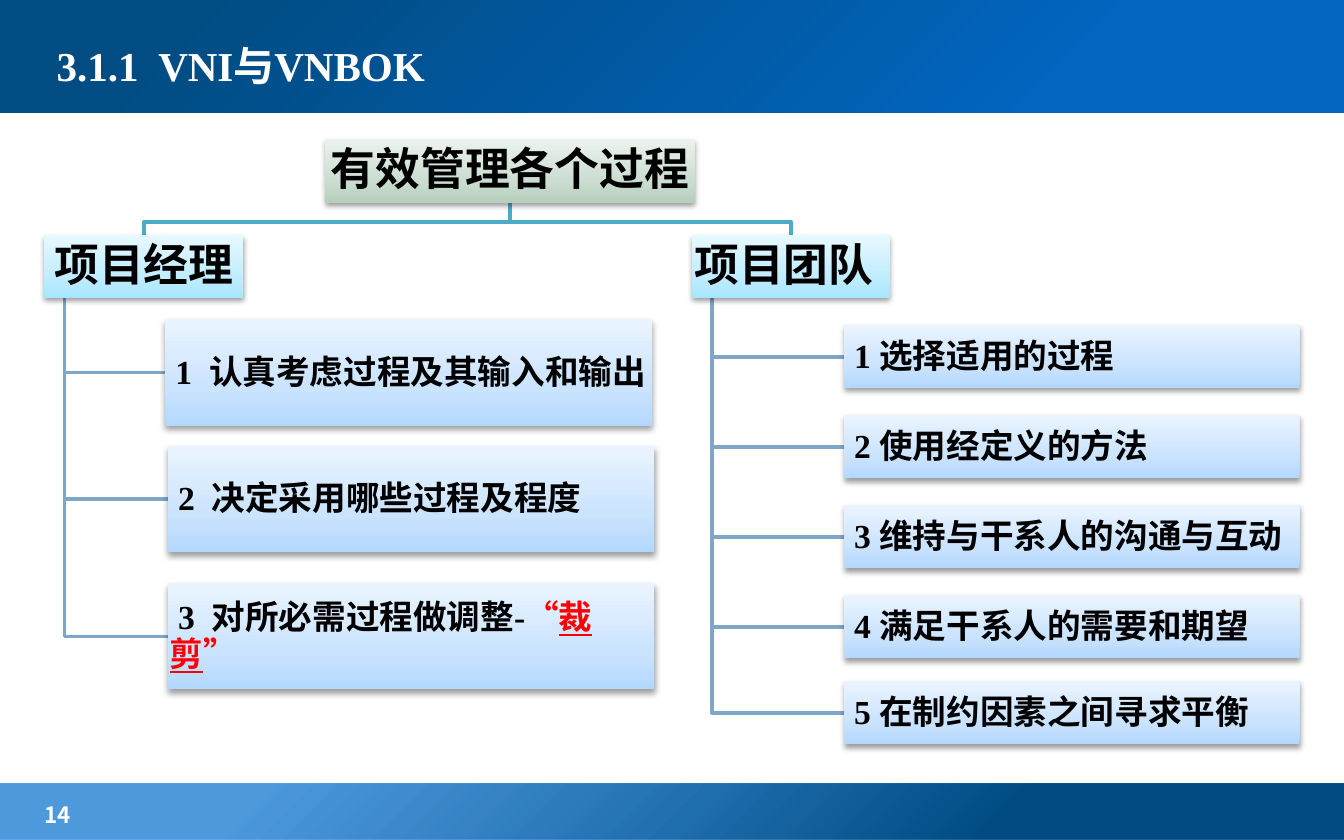
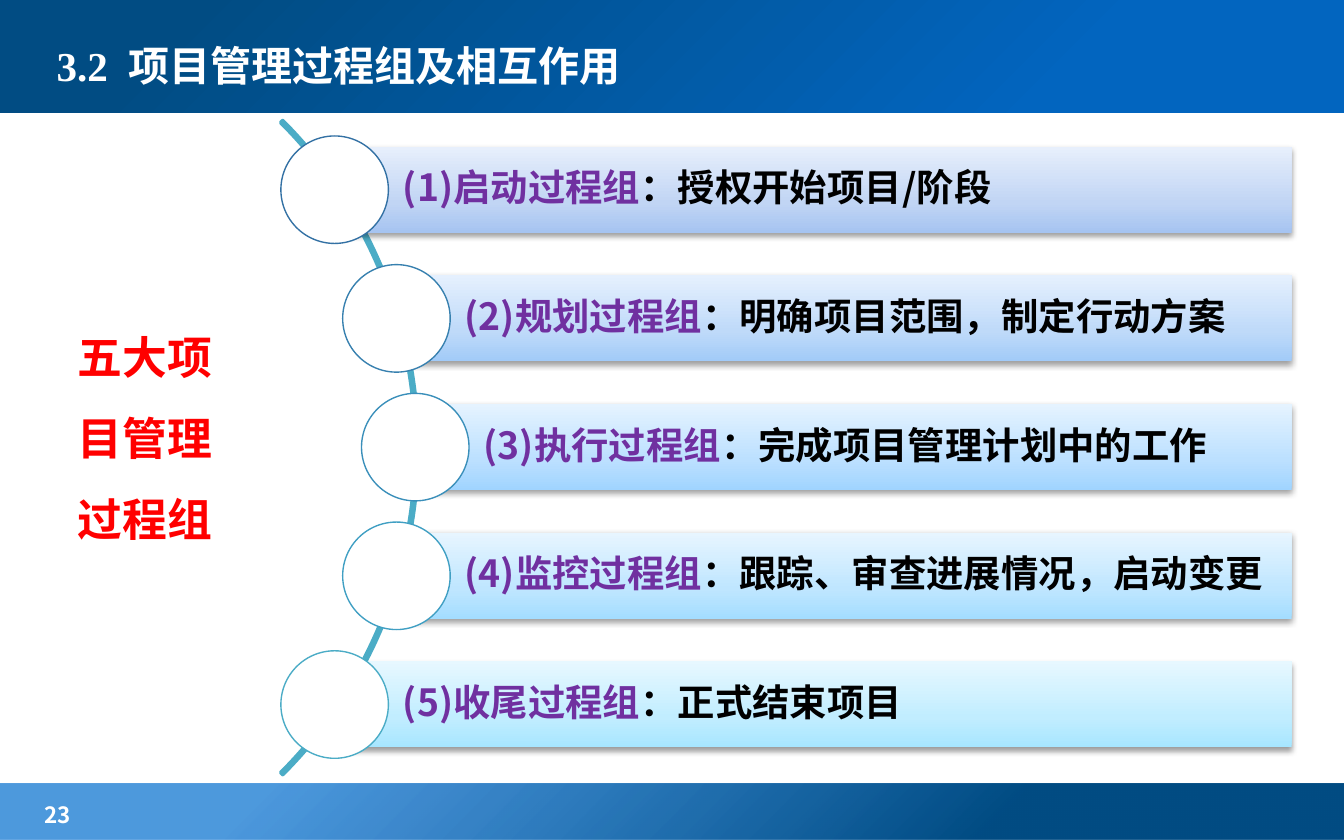
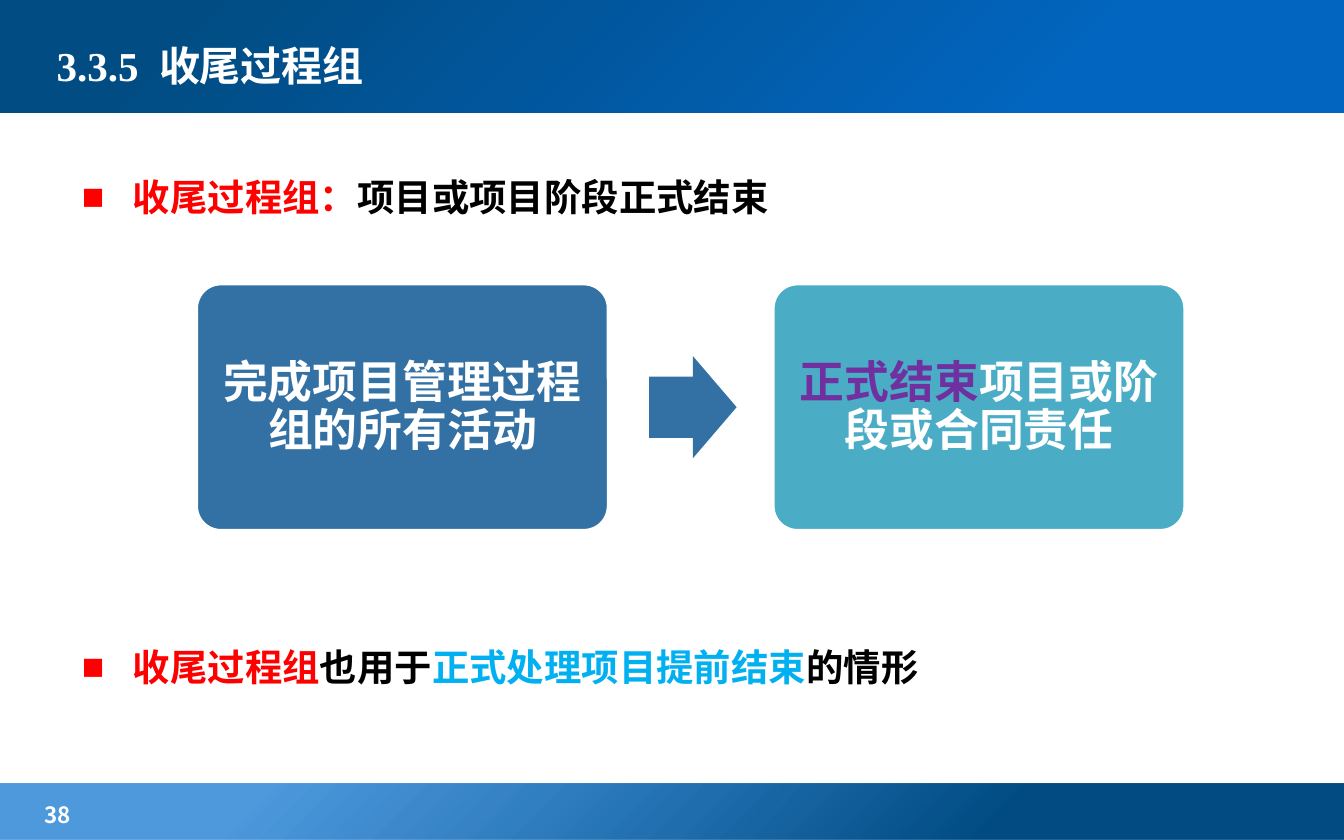
from lxml import etree
from pptx import Presentation
from pptx.dml.color import RGBColor
from pptx.enum.shapes import MSO_SHAPE as MSO
from pptx.enum.text import MSO_ANCHOR as ANCHOR, PP_ALIGN as ALIGN
from pptx.oxml import parse_xml
from pptx.oxml.ns import nsdecls, qn
from pptx.util import Pt

rgb = RGBColor.from_string

# Shared look
SANS, SERIF = "Noto Sans CJK SC", "Times New Roman"
WHITE, BLACK, RED, PURPLE, SKY = "FFFFFF", "000000", "FF0000", "7030A0", "00B0F0"
BLUE, TEAL, BRANCH = "3371A4", "4BACC6", "7FA6C7"
TOP_BAND = ((21, "0265BF", 100), (86, "014C83", 100))
BOTTOM_BAND = ((26, "014C83", 100), (80, "026DCE", 70))
UPWARD = '<a:lin ang="16200000" scaled="0"/>'
CORNER = '<a:path path="circle"><a:fillToRect l="100000" t="100000"/></a:path>'
GREEN_TINT = ((0, "B5CFBB", 100), (35, "CBDDD0", 100), (100, "EBF2ED", 100))
CYAN_TINT = ((0, "A7E6FF", 100), (35, "C1EDFF", 100), (100, "E7F8FF", 100))
CARD_TINT = ((0, "B3D8FE", 100), (35, "CAE3FE", 100), (100, "EAF4FF", 100))


def add_box(sl, kind, x, y, w, h, fill=None, line=None, weight=2, shade=UPWARD, shadow=False):
    """Add a shape; fill is a hex string, a tuple of gradient stops or None."""
    sp = sl.shapes.add_shape(kind, Pt(x), Pt(y), Pt(w), Pt(h))
    sp.shadow.inherit = False
    sp.fill.background()
    if isinstance(fill, str):
        sp.fill.solid()
        sp.fill.fore_color.rgb = rgb(fill)
    elif fill:
        stops = "".join(
            f'<a:gs pos="{pos * 1000}"><a:srgbClr val="{color}">'
            f'<a:alpha val="{alpha * 1000}"/></a:srgbClr></a:gs>'
            for pos, color, alpha in fill)
        spPr = sp._element.spPr
        spPr.replace(spPr.find(qn("a:noFill")), parse_xml(
            f'<a:gradFill {nsdecls("a")} rotWithShape="1">'
            f'<a:gsLst>{stops}</a:gsLst>{shade}</a:gradFill>'))
    if line:
        sp.line.color.rgb = rgb(line)
        sp.line.width = Pt(weight)
    else:
        sp.line.fill.background()
    if shadow:
        sp._element.spPr.find(qn("a:effectLst")).append(parse_xml(
            f'<a:outerShdw {nsdecls("a")} blurRad="40000" dist="20000" dir="5400000" '
            'rotWithShape="0"><a:srgbClr val="000000"><a:alpha val="38000"/></a:srgbClr>'
            '</a:outerShdw>'))
    return sp


def write(sp, paragraphs, size, font=SERIF, inset=(7.2, 3.6), spacing=0.9,
          align=ALIGN.LEFT, anchor=ANCHOR.MIDDLE):
    """Fill a shape with paragraphs, each a list of (text, colour) runs."""
    tf = sp.text_frame
    tf.word_wrap = True
    tf.vertical_anchor = anchor
    tf.margin_left, tf.margin_top = Pt(inset[0]), Pt(inset[1])
    tf.margin_right, tf.margin_bottom = Pt(min(inset[0], 7.2)), Pt(inset[1])
    for i, runs in enumerate(paragraphs):
        p = tf.add_paragraph() if i else tf.paragraphs[0]
        p.alignment = align
        p.line_spacing = spacing
        for text, color in runs:
            r = p.add_run()
            r.text = text
            r.font.size, r.font.bold = Pt(size), True
            r.font.color.rgb = rgb(color)
            r.font.name = font
            etree.SubElement(r._r.get_or_add_rPr(), qn("a:ea")).set("typeface", SANS)
    return tf


prs = Presentation()
prs.slide_width, prs.slide_height = Pt(720), Pt(450)

# Bands, page numbers and titles
slides = []
for number, title in ((14, "3.1.1  VNI与VNBOK"),
                      (23, "3.2  项目管理过程组及相互作用"),
                      (38, "3.3.5  收尾过程组")):
    sl = prs.slides.add_slide(prs.slide_layouts[6])
    add_box(sl, MSO.RECTANGLE, 0, 419.8, 720, 30.2, BOTTOM_BAND, shade=CORNER)
    add_box(sl, MSO.RECTANGLE, 0, -2.2, 720, 62.6, TOP_BAND, shade=CORNER)
    page = sl.shapes.add_textbox(Pt(14.2), Pt(427), Pt(113), Pt(18.7))
    write(page, [[(f" {number}", WHITE)]], 12, SANS, spacing=1.0)
    heading = sl.shapes.add_textbox(Pt(23.2), Pt(9.4), Pt(459.4), Pt(51.1))
    write(heading, [[(title, WHITE)]], 22, spacing=1.0)
    slides.append(sl)
tree_slide, groups_slide, closing_slide = slides

# Slide 1: tree of duties
HEAD_Y, HEAD_H, ROOT_X, ROOT_BOTTOM = 126, 33.8, 273.4, 108.7
manager = [
    (88.6, 171.2, [(" 1  认真考虑过程及其输入和输出", BLACK)]),
    (90, 239, [(" 2  决定采用哪些过程及程度", BLACK)]),
    (90, 312.5, [(" 3  对所必需过程做调整-", BLACK), ("“", RED), ("裁剪", RED), ("”", RED)]),
]
team = [(452.2, y, [(text, BLACK)]) for y, text in (
    (174.2, " 1 选择适用的过程"),
    (222.5, " 2 使用经定义的方法"),
    (270.7, " 3 维持与干系人的沟通与互动"),
    (319, " 4 满足干系人的需要和期望"),
    (365, " 5 在制约因素之间寻求平衡"))]
trees = (
    ("项目经理", 23.8, 106.6, ALIGN.CENTER, 260.6, 56.9, manager),
    ("项目团队", 370.8, 105.8, ALIGN.LEFT, 244, 33.8, team),
)
for name, head_x, head_w, align, card_w, card_h, cards in trees:
    # Lines from the root to the head, and from the head to each card
    trunk_x, middle = head_x + 10.8, head_x + head_w / 2
    routes = [(TEAL, [(ROOT_X, ROOT_BOTTOM), (ROOT_X, 118.8), (middle, 118.8), (middle, HEAD_Y)])]
    for x, y, runs in cards:
        branch_y = y + card_h / 2
        routes.append((BRANCH, [(trunk_x, HEAD_Y + HEAD_H), (trunk_x, branch_y), (x, branch_y)]))
    for color, points in routes:
        start, *rest = [(Pt(px), Pt(py)) for px, py in points]
        outline = tree_slide.shapes.build_freeform(*start)
        outline.add_line_segments(rest, close=False)
        route = outline.convert_to_shape()
        route.shadow.inherit = False
        route.fill.background()
        route.line.color.rgb = rgb(color)
        route.line.width = Pt(2)

    # Head and cards
    head = add_box(tree_slide, MSO.RECTANGLE, head_x, HEAD_Y, head_w, HEAD_H, CYAN_TINT, shadow=True)
    write(head, [[(name, BLACK)]], 24, inset=(1.2, 1.2), align=align)
    for x, y, runs in cards:
        card = add_box(tree_slide, MSO.RECTANGLE, x, y, card_w, card_h, CARD_TINT, shadow=True)
        tf = write(card, [runs], 18, inset=(0.9, 0.9), spacing=Pt(19.8))
        for r in tf.paragraphs[0].runs:
            if r.text == "裁剪":
                r.font.underline = True

root = add_box(tree_slide, MSO.RECTANGLE, 174.2, 74.9, 198, 33.8, GREEN_TINT, shadow=True)
write(root, [[("有效管理各个过程", BLACK)]], 24, inset=(1.2, 1.2), align=ALIGN.CENTER)

# Slide 2: five process groups along an arc
label = groups_slide.shapes.add_textbox(Pt(34.6), Pt(158.4), Pt(103), Pt(133.2))
write(label, [[("五大项目管理过程组", RED)]], 24, SANS, spacing=Pt(43.4), anchor=ANCHOR.TOP)

arc = add_box(groups_slide, MSO.BLOCK_ARC, -271.4, -7.9, 495.4, 495.4, line=TEAL)
for i, value in enumerate((189, 27, 0.003)):
    arc.adjustments[i] = value

BAR_RIGHT, BAR_H, DISC = 692, 46.1, 57.6
process_groups = (
    ("启动过程组", "授权开始项目/阶段", 179.3, BLUE, ("A6C4F1", "C1D5F4", "E7EFFC")),
    ("规划过程组", "明确项目范围，制定行动方案", 212.4, "3780AF", ("A2CBF8", "BFDAF9", "E5F0FE")),
    ("执行过程组", "完成项目管理计划中的工作", 222.5, "3A8FBA", ("A0D4FF", "BCE0FF", "E5F3FF")),
    ("监控过程组", "跟踪、审查进展情况，启动变更", 212.4, "409FC3", ("A4DDFF", "BFE6FF", "E7F5FF")),
    ("收尾过程组", "正式结束项目", 179.3, TEAL, ("A7E6FF", "C1EDFF", "E7F8FF")),
)
for i, (name, purpose, x, ring, tints) in enumerate(process_groups):
    y = 78.6 + i * 68.95
    stops = tuple((pos, tint, 100) for pos, tint in zip((0, 35, 100), tints))
    bar = add_box(groups_slide, MSO.RECTANGLE, x, y, BAR_RIGHT - x, BAR_H, stops, shadow=True)
    write(bar, [[(f"({i + 1}){name}", PURPLE), (f"：{purpose}", BLACK)]], 20, SANS, inset=(36.6, 4))
    add_box(groups_slide, MSO.OVAL, x - DISC / 2, y + (BAR_H - DISC) / 2, DISC, DISC,
            WHITE, ring, 0.75)

# Slide 3: bulleted statements
body = closing_slide.shapes.add_textbox(Pt(36.7), Pt(77.8), Pt(646.6), Pt(280.8))
tf = write(body, [
    [("收尾过程组：", RED), ("项目或项目阶段正式结束", BLACK)],
    [("收尾过程组", RED), ("也用于", BLACK), ("正式处理项目提前结束", SKY), ("的情形", BLACK)],
], 20, spacing=Pt(36), anchor=ANCHOR.TOP)
tf.paragraphs[1].space_before = Pt(216)
for p in tf.paragraphs:
    pPr = p._p.get_or_add_pPr()
    pPr.set("marL", str(Pt(27.4)))
    pPr.set("indent", str(-Pt(27.4)))
    color = etree.SubElement(pPr, qn("a:buClr"))
    etree.SubElement(color, qn("a:srgbClr")).set("val", RED)
    etree.SubElement(pPr, qn("a:buFont")).set("typeface", SERIF)
    etree.SubElement(pPr, qn("a:buChar")).set("char", "■")

# Slide 3: two steps and the arrow between them
steps = (
    (105.1, BLUE, [("完成项目管理过程组的所有活动", WHITE)]),
    (414, TEAL, [("正式结束", PURPLE), ("项目或阶段或合同责任", WHITE)]),
)
for x, color, runs in steps:
    step = add_box(closing_slide, MSO.ROUNDED_RECTANGLE, x, 151.9, 221, 132.5, color, WHITE)
    step.adjustments[0] = 0.1
    write(step, [runs], 24, inset=(7.2, 7.2), spacing=Pt(25.8), align=ALIGN.CENTER)
arrow = add_box(closing_slide, MSO.RIGHT_ARROW, 347.8, 190.8, 46.8, 54.7, BLUE)
arrow.adjustments[0], arrow.adjustments[1] = 0.6, 0.5

prs.save("out.pptx")
